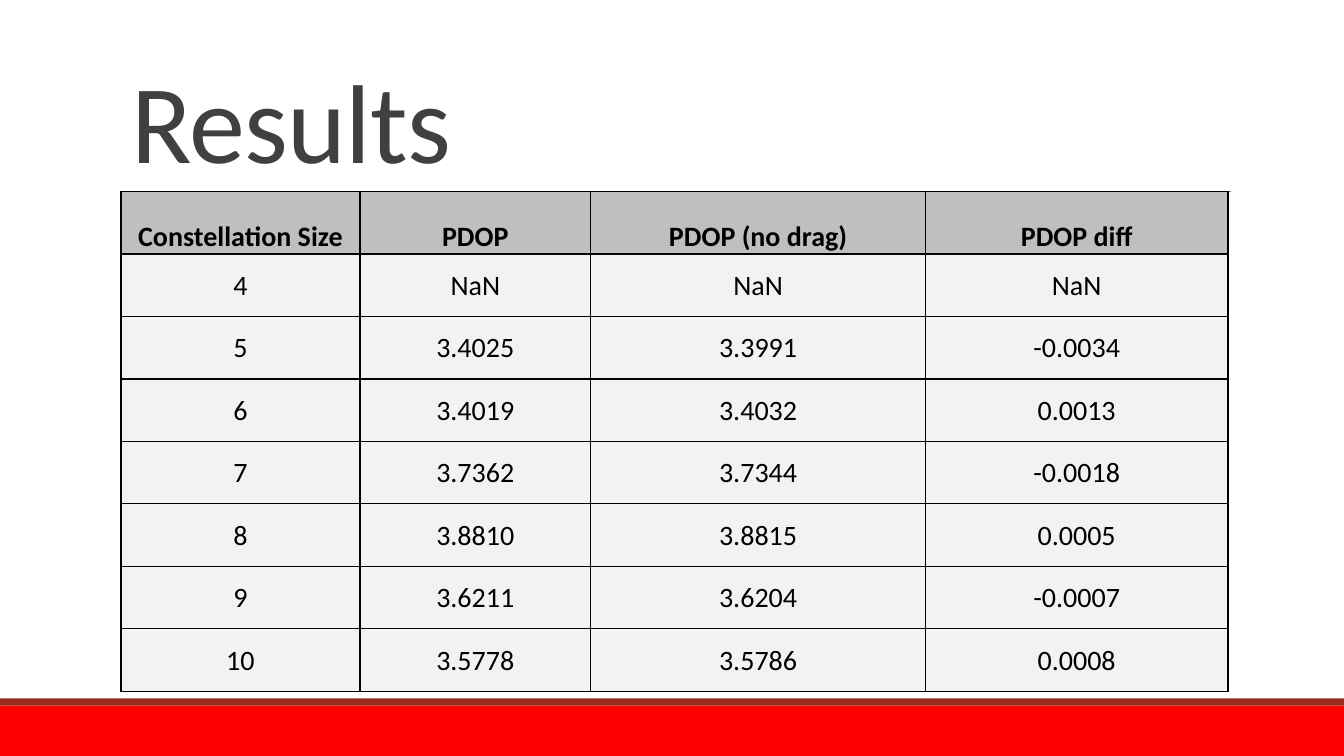
from lxml import etree
from pptx import Presentation
from pptx import util as u
from pptx.dml.color import RGBColor
from pptx.enum import shapes, text
from pptx.oxml import ns

RED = RGBColor(0xFF, 0x00, 0x00)
RUST = RGBColor(0x9B, 0x2D, 0x1F)
GRAY = RGBColor(0x80, 0x80, 0x80)
CHARCOAL = RGBColor(0x40, 0x40, 0x40)
BLACK = RGBColor(0x00, 0x00, 0x00)
SILVER = RGBColor(0xBF, 0xBF, 0xBF)
PALE = RGBColor(0xF2, 0xF2, 0xF2)

COLUMN_WIDTHS = (2.37, 2.29, 3.32, 3)
ROW_HEIGHT = 0.62
RESULTS = (
    ("Constellation Size", "PDOP", "PDOP (no drag)", "PDOP diff"),
    ("4", "NaN", "NaN", "NaN"),
    ("5", "3.4025", "3.3991", "-0.0034"),
    ("6", "3.4019", "3.4032", "0.0013"),
    ("7", "3.7362", "3.7344", "-0.0018"),
    ("8", "3.8810", "3.8815", "0.0005"),
    ("9", "3.6211", "3.6204", "-0.0007"),
    ("10", "3.5778", "3.5786", "0.0008"),
)


def apply(target, values):
    for name, value in values.items():
        setattr(target, name, value)


class ResultsSlide:
    font_name = "Calibri"
    cell_format = {
        "margin_left": u.Inches(0.01),
        "margin_right": u.Inches(0.01),
        "margin_top": u.Inches(0.01),
        "margin_bottom": u.Inches(0),
    }

    def __init__(self, deck):
        self.page = deck.slides.add_slide(deck.slide_layouts[5])

    def add_words(self, frame, words, size, color, bold=False, **para_format):
        para = frame.paragraphs[0]
        apply(para, para_format)
        span = para.add_run()
        span.text = words
        apply(span.font, {"name": self.font_name, "size": u.Pt(size), "bold": bold})
        span.font.color.rgb = color
        return span

    def title(self, words, left, top, width, height):
        box = self.page.shapes.title
        apply(box, {
            "left": u.Inches(left), "top": u.Inches(top),
            "width": u.Inches(width), "height": u.Inches(height),
        })
        apply(box.text_frame, {
            "auto_size": text.MSO_AUTO_SIZE.NONE,
            "word_wrap": True,
            "vertical_anchor": text.MSO_ANCHOR.BOTTOM,
        })
        span = self.add_words(box.text_frame, words, 80, CHARCOAL,
                              alignment=text.PP_ALIGN.LEFT, line_spacing=0.85)
        span.font._element.set("spc", "-50")

    def band(self, top, height, color):
        box = self.page.shapes.add_shape(
            shapes.MSO_SHAPE.RECTANGLE, u.Inches(0), u.Inches(top),
            u.Inches(13.33), u.Inches(height))
        box.shadow.inherit = False
        box.fill.solid()
        box.fill.fore_color.rgb = color
        box.line.fill.background()

    def rule(self, left, right, top):
        line = self.page.shapes.add_connector(
            shapes.MSO_CONNECTOR.STRAIGHT, u.Inches(left), u.Inches(top),
            u.Inches(right), u.Inches(top))
        line.line.color.rgb = GRAY
        line.line.width = u.Pt(0.5)
        etree.SubElement(line._element.spPr, ns.qn("a:effectLst"))

    def border(self, cell):
        properties = cell._tc.get_or_add_tcPr()
        for side in ("lnL", "lnR", "lnT", "lnB"):
            edge = etree.SubElement(properties, ns.qn(f"a:{side}"), w=str(u.Pt(1)))
            fill = etree.SubElement(edge, ns.qn("a:solidFill"))
            etree.SubElement(fill, ns.qn("a:srgbClr"), val=str(BLACK))

    def table(self, rows, left, top):
        grid = self.page.shapes.add_table(
            len(rows), len(COLUMN_WIDTHS), u.Inches(left), u.Inches(top),
            u.Inches(sum(COLUMN_WIDTHS)), u.Inches(ROW_HEIGHT * len(rows))).table
        for column, width in zip(grid.columns, COLUMN_WIDTHS):
            column.width = u.Inches(width)
        for row_index, values in enumerate(rows):
            header = row_index == 0
            grid.rows[row_index].height = u.Inches(ROW_HEIGHT)
            for column_index, value in enumerate(values):
                cell = grid.cell(row_index, column_index)
                apply(cell, self.cell_format)
                cell.vertical_anchor = text.MSO_ANCHOR.BOTTOM if header else text.MSO_ANCHOR.MIDDLE
                self.border(cell)
                cell.fill.solid()
                cell.fill.fore_color.rgb = SILVER if header else PALE
                self.add_words(cell.text_frame, value, 20, BLACK, header,
                               alignment=text.PP_ALIGN.CENTER)


def main():
    deck = Presentation()
    deck.slide_width = u.Inches(13.33)
    deck.slide_height = u.Inches(7.5)
    slide = ResultsSlide(deck)
    slide.band(7, 0.5, RED)
    slide.band(6.93, 0.07, RUST)
    slide.rule(1.31, 12.21, 1.9)
    slide.title("Results", 1.2, 0.31, 11.71, 1.59)
    slide.table(RESULTS, 1.2, 1.9)
    deck.save("out.pptx")


if __name__ == "__main__":
    main()
